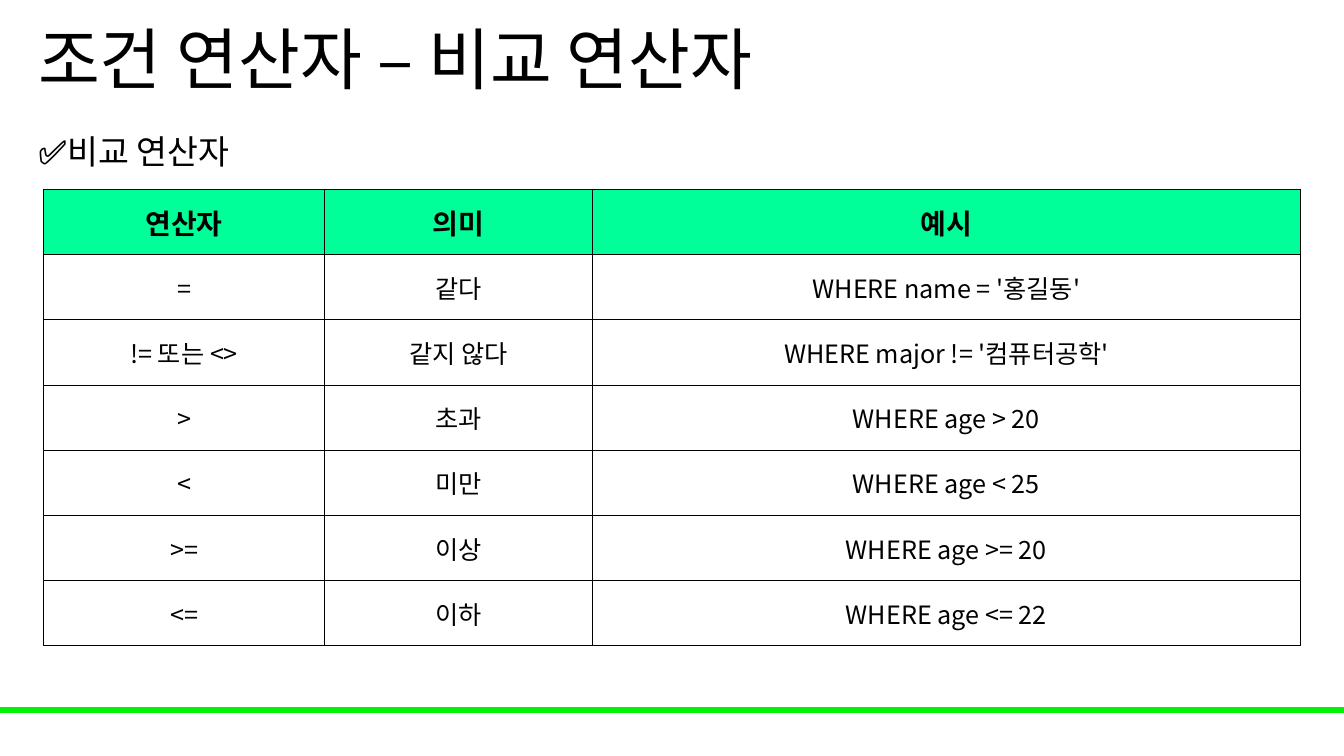
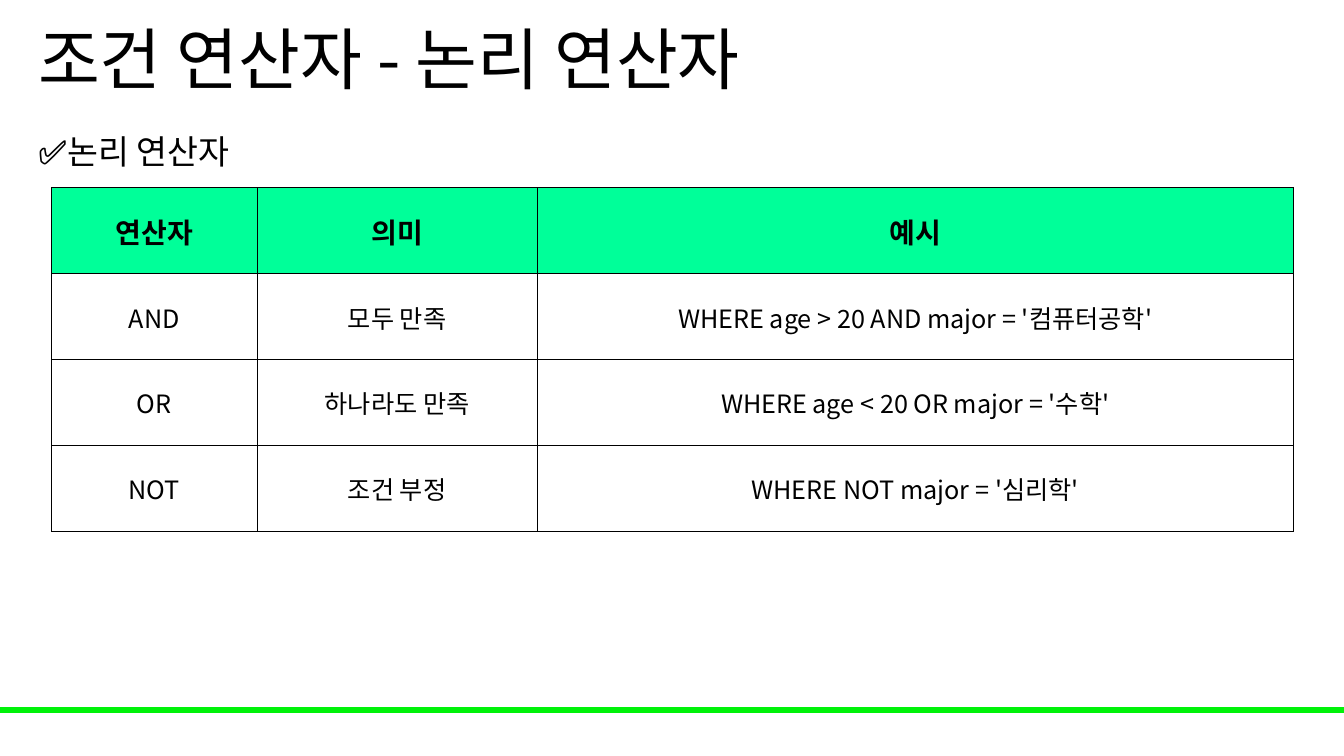
from dataclasses import dataclass

from lxml.etree import SubElement
from pptx import Presentation
from pptx.dml.color import RGBColor
from pptx.enum.shapes import MSO_SHAPE
from pptx.enum.text import MSO_ANCHOR, MSO_AUTO_SIZE, PP_ALIGN
from pptx.oxml.ns import qn
from pptx.util import Pt


@dataclass(frozen=True)
class Theme:
    font: str = "Noto Sans CJK KR"
    text: RGBColor = RGBColor(0x00, 0x00, 0x00)
    band: RGBColor = RGBColor(0x00, 0xF2, 0x09)
    header: RGBColor = RGBColor(0x00, 0xFF, 0x99)
    border: RGBColor = RGBColor(0x00, 0x00, 0x00)
    title_size: float = 48
    subtitle_size: float = 24
    header_size: float = 20
    cell_size: float = 18
    border_width: float = 0.5


THEME = Theme()
SLIDE_WIDTH, SLIDE_HEIGHT = 960, 540
TEXT_LEFT = 20.2
HEADINGS = ("연산자", "의미", "예시")
COMPARISONS = (
    ("=", "같다", "WHERE name = '홍길동'"),
    ("!= 또는 <>", "같지 않다", "WHERE major != '컴퓨터공학'"),
    (">", "초과", "WHERE age > 20"),
    ("<", "미만", "WHERE age < 25"),
    (">=", "이상", "WHERE age >= 20"),
    ("<=", "이하", "WHERE age <= 22"),
)
LOGICALS = (
    ("AND", "모두 만족", "WHERE age > 20 AND major = '컴퓨터공학'"),
    ("OR", "하나라도 만족", "WHERE age < 20 OR major = '수학'"),
    ("NOT", "조건 부정", "WHERE NOT major = '심리학'"),
)


def write_text(text_frame, text, *, size, bold=False, align=PP_ALIGN.LEFT, line_spacing=None):
    paragraph = text_frame.paragraphs[0]
    paragraph.alignment = align
    paragraph.line_spacing = line_spacing
    run = paragraph.add_run()
    run.text = text
    run.font.size = Pt(size)
    run.font.bold = bold
    run.font.color.rgb = THEME.text
    run.font.name = THEME.font
    # Hangul takes its typeface from the East Asian font slot.
    SubElement(run.font._element, qn("a:ea"), typeface=THEME.font)


def add_text_box(slide, left, top, width, height, *, anchor=MSO_ANCHOR.TOP,
                 auto_size=MSO_AUTO_SIZE.NONE):
    text_frame = slide.shapes.add_textbox(Pt(left), Pt(top), Pt(width), Pt(height)).text_frame
    text_frame.word_wrap = True
    text_frame.auto_size = auto_size
    text_frame.vertical_anchor = anchor
    return text_frame


def add_band(slide):
    band = slide.shapes.add_shape(MSO_SHAPE.RECTANGLE, 0, Pt(505.4), Pt(SLIDE_WIDTH), Pt(3.6))
    band.shadow.inherit = False
    band.fill.solid()
    band.fill.fore_color.rgb = THEME.band
    band.line.color.rgb = THEME.band
    band.line.width = Pt(1)


def add_slide(presentation, title, subtitle):
    """Add a slide with the shared band, title and subtitle."""
    slide = presentation.slides.add_slide(presentation.slide_layouts[6])
    add_band(slide)
    title_frame = add_text_box(slide, TEXT_LEFT, 0, 828, 90, anchor=MSO_ANCHOR.MIDDLE)
    write_text(title_frame, title, size=THEME.title_size, line_spacing=0.9)
    subtitle_frame = add_text_box(slide, TEXT_LEFT, 90, 482, 36,
                                  auto_size=MSO_AUTO_SIZE.SHAPE_TO_FIT_TEXT)
    write_text(subtitle_frame, subtitle, size=THEME.subtitle_size)
    return slide


def set_borders(cell):
    """Draw all four sides; call before filling, as the schema puts lines first."""
    properties = cell._tc.get_or_add_tcPr()
    for side in ("a:lnL", "a:lnR", "a:lnT", "a:lnB"):
        line = SubElement(properties, qn(side), w=str(Pt(THEME.border_width)))
        fill = SubElement(line, qn("a:solidFill"))
        SubElement(fill, qn("a:srgbClr"), val=str(THEME.border))


def format_cell(cell, text, is_header):
    cell.margin_left = cell.margin_right = cell.margin_top = Pt(0.72)
    cell.margin_bottom = 0
    cell.vertical_anchor = MSO_ANCHOR.MIDDLE
    set_borders(cell)
    if is_header:
        cell.fill.solid()
        cell.fill.fore_color.rgb = THEME.header
    else:
        cell.fill.background()
    write_text(cell.text_frame, text, bold=is_header, align=PP_ALIGN.CENTER,
               size=THEME.header_size if is_header else THEME.cell_size)


def add_operator_table(slide, operators, left, top, column_widths, row_height):
    rows = (HEADINGS, *operators)
    table = slide.shapes.add_table(
        len(rows), len(HEADINGS), Pt(left), Pt(top),
        Pt(sum(column_widths)), Pt(row_height * len(rows))).table
    table.horz_banding = False
    for column, width in zip(table.columns, column_widths):
        column.width = Pt(width)
    for row_index, texts in enumerate(rows):
        table.rows[row_index].height = Pt(row_height)
        for column_index, text in enumerate(texts):
            format_cell(table.cell(row_index, column_index), text, row_index == 0)


def main():
    presentation = Presentation()
    presentation.slide_width = Pt(SLIDE_WIDTH)
    presentation.slide_height = Pt(SLIDE_HEIGHT)

    comparison = add_slide(presentation, "조건 연산자 – 비교 연산자", "✅비교 연산자")
    add_operator_table(comparison, COMPARISONS, 31, 135.4, (201, 191, 506), 46.5)

    logical = add_slide(presentation, "조건 연산자 - 논리 연산자", "✅논리 연산자")
    add_operator_table(logical, LOGICALS, 36.7, 134, (147, 200, 540), 61.4)

    presentation.save("out.pptx")


if __name__ == "__main__":
    main()
